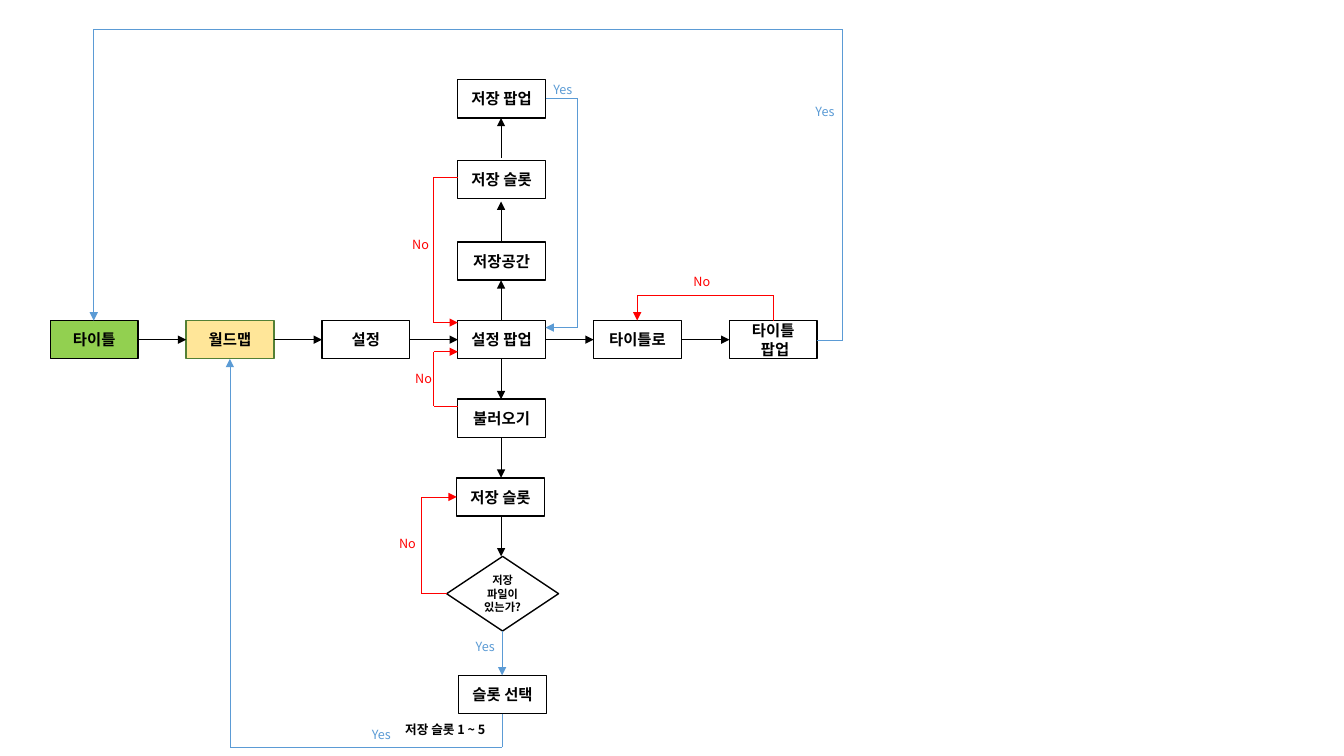
from itertools import pairwise

from lxml.etree import SubElement
from pptx import Presentation
from pptx.dml.color import RGBColor
from pptx.enum.shapes import MSO_CONNECTOR, MSO_SHAPE
from pptx.enum.text import MSO_ANCHOR, PP_ALIGN
from pptx.oxml.ns import qn
from pptx.util import Inches, Pt

FONT = "Noto Sans CJK KR"
COLORS = {
    "black": "000000", "white": "FFFFFF", "yes": "5B9BD5", "no": "FF0000",
    "title": "92D050", "map": "FFE699", "map_edge": "538035",
}
BOX_W, BOX_H = 0.87, 0.38
ROW_Y = 3.18                      # top of the main row
MID_Y = ROW_Y + BOX_H / 2
ROW_X = [0.5 + 1.347 * i for i in range(6)]
HUB_X = ROW_X[3]                  # column of the settings popup
HUB_RIGHT = HUB_X + BOX_W
AXIS = 4.97                       # centre line of that column


def color(name):
    return RGBColor.from_string(COLORS[name])


def write(frame, text, size=11, ink="black", bold=False, align=PP_ALIGN.LEFT,
          anchor=MSO_ANCHOR.TOP, inset=0.1):
    frame.word_wrap = True
    frame.vertical_anchor = anchor
    frame.margin_left = frame.margin_right = Inches(inset)
    frame.text = text
    for paragraph in frame.paragraphs:
        paragraph.alignment = align
        for run in paragraph.runs:
            font = run.font
            font.name, font.size, font.bold = FONT, Pt(size), bold
            font.color.rgb = color(ink)
            SubElement(font._element, qn("a:ea"), typeface=FONT)


def node(slide, text, x, y, w=BOX_W, h=BOX_H, kind=MSO_SHAPE.RECTANGLE,
         fill="white", edge="black", **text_format):
    step = slide.shapes.add_shape(kind, Inches(x), Inches(y), Inches(w), Inches(h))
    step.shadow.inherit = False
    step.fill.solid()
    step.fill.fore_color.rgb = color(fill)
    step.line.color.rgb = color(edge)
    step.line.width = Pt(1)
    write(step.text_frame, text, bold=True, align=PP_ALIGN.CENTER,
          anchor=MSO_ANCHOR.MIDDLE, **text_format)


def label(slide, text, x, y, w=0.43, **text_format):
    note = slide.shapes.add_textbox(Inches(x), Inches(y), Inches(w), Inches(0.25))
    write(note.text_frame, text, size=9, **text_format)


def route(slide, *points, ink="black"):
    """Straight segments through the points, with an arrowhead on the last."""
    for start, end in pairwise(points):
        segment = slide.shapes.add_connector(
            MSO_CONNECTOR.STRAIGHT, *(Inches(v) for v in start + end))
        segment.line.color.rgb = color(ink)
        segment.line.width = Pt(0.5)
        SubElement(segment._element.spPr, qn("a:effectLst"))
    SubElement(segment.line._get_or_add_ln(), qn("a:tailEnd"), type="triangle")


def main():
    prs = Presentation()
    prs.slide_width, prs.slide_height = Inches(13.33), Inches(7.5)
    slide = prs.slides.add_slide(prs.slide_layouts[6])

    # Main row
    main_row = [
        ("타이틀", {"fill": "title"}),
        ("월드맵", {"fill": "map", "edge": "map_edge"}),
        ("설정", {}), ("설정 팝업", {}), ("타이틀로", {}), ("타이틀\n 팝업", {}),
    ]
    for x, (text, style) in zip(ROW_X, main_row):
        node(slide, text, x, ROW_Y, **style)
    for left, right in pairwise(ROW_X):
        route(slide, (left + BOX_W, MID_Y), (right, MID_Y))

    # Column above and below the settings popup
    for text, x, y in [
        ("저장 팝업", HUB_X, 0.79), ("저장 슬롯", HUB_X, 1.59),
        ("저장공간", HUB_X, 2.4), ("불러오기", HUB_X, 3.96),
        ("저장 슬롯", 4.53, 4.74), ("슬롯 선택", 4.55, 6.7),
    ]:
        node(slide, text, x, y)
    node(slide, "저장 파일이 있는가?", 4.43, 5.52, 1.11, 0.74,
         kind=MSO_SHAPE.DIAMOND, size=8, inset=0.04)
    for start, end in [(3.18, 2.78), (2.4, 2), (1.57, 1.17),
                       (3.56, 3.96), (4.34, 4.74), (5.12, 5.52)]:
        route(slide, (AXIS, start), (AXIS, end))

    # "No" branches
    for points in [
        [(HUB_X, 1.76), (4.3, 1.76), (4.3, 3.2), (HUB_X, 3.2)],
        [(HUB_X, 4.03), (4.3, 4.03), (4.3, 3.49), (HUB_X, 3.49)],
        [(4.43, 5.89), (4.18, 5.89), (4.18, 4.93), (4.53, 4.93)],
        [(7.67, ROW_Y), (7.67, 2.93), (6.32, 2.93), (6.32, ROW_Y)],
    ]:
        route(slide, *points, ink="no")
    for x, y in [(3.99, 2.3), (4.02, 3.63), (3.86, 5.27), (6.78, 2.67)]:
        label(slide, "No", x, y, ink="no")

    # "Yes" branches
    for points in [
        [(HUB_RIGHT, 0.98), (5.73, 0.98), (5.73, 3.25), (HUB_RIGHT, 3.25)],
        [(4.98, 6.26), (4.98, 6.7)],
        [(4.98, 7.08), (4.98, 7.41), (2.28, 7.41), (2.28, 3.56)],
        [(8.1, 3.38), (8.35, 3.38), (8.35, 0.29), (0.93, 0.29), (0.93, ROW_Y)],
    ]:
        route(slide, *points, ink="yes")
    for x, y in [(5.39, 0.76), (4.62, 6.29), (3.59, 7.16), (7.99, 0.98)]:
        label(slide, "Yes", x, y, ink="yes")
    label(slide, "저장 슬롯 1 ~ 5", 3.92, 7.11, w=1.12, bold=True)

    prs.save("out.pptx")


main()
